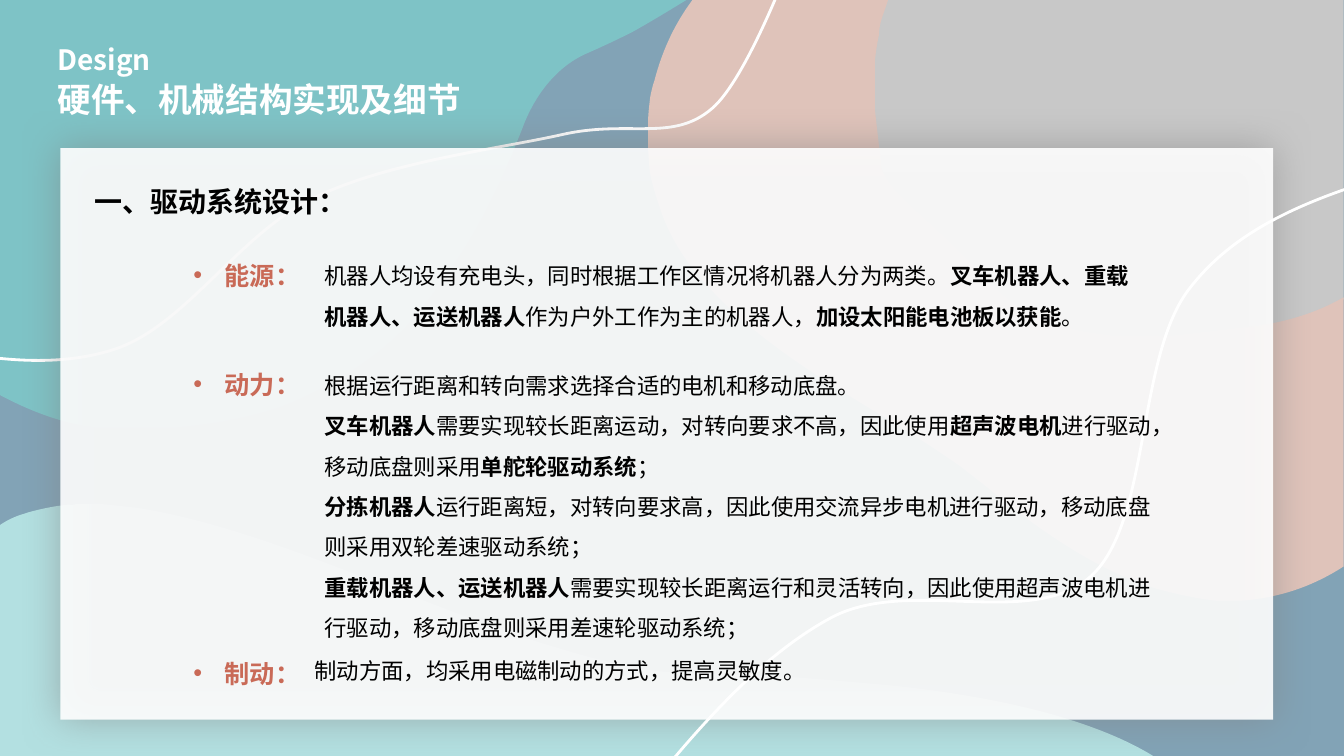
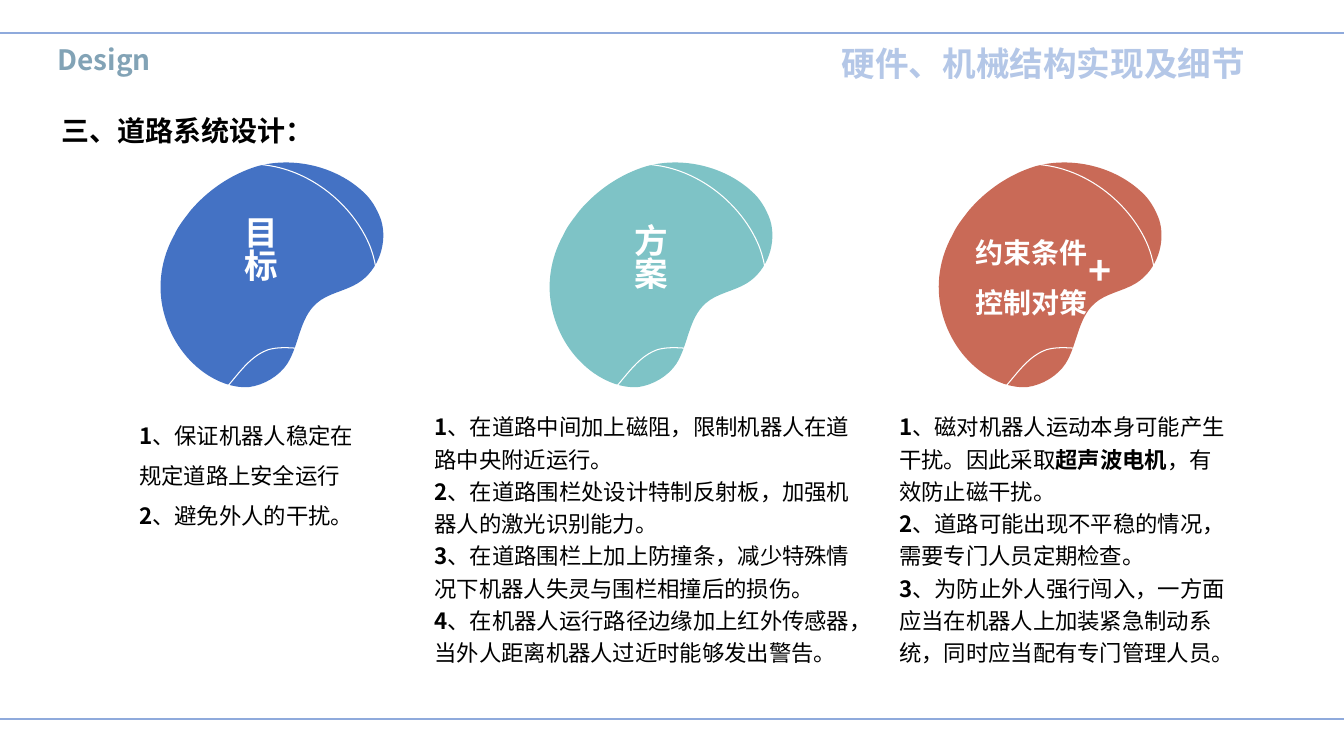
from lxml import etree
from pptx import Presentation
from pptx import util as u
from pptx.dml.color import RGBColor
from pptx.enum import shapes, text
from pptx.oxml.ns import qn

# Shared style
FONT = "Noto Sans CJK SC"
WHITE, BLACK = "FFFFFF", "000000"
SLATE, TEAL, MINT, PINK, GREY = "82A3B6", "7EC3C6", "B3E0E1", "DFC3BA", "C8C8C8"
BLUE, RUST, RULE, PALE = "4472C4", "C96A57", "8FAADC", "B4C7E7"
WIDTH, HEIGHT = 13.333, 7.5
JUSTIFY, LEFT = text.PP_ALIGN.JUSTIFY, text.PP_ALIGN.LEFT
TITLE = "硬件、机械结构实现及细节"

# Outlines: a start point, then lines (2 numbers) and curves (6 numbers)
GREY_WAVE = [
    (13.33, 0), (13.33, 2.97), (13.27, 3.01, 13.19, 3.04, 13.13, 3.07),
    (12.94, 3.16, 12.75, 3.22, 12.56, 3.25), (12.34, 3.28, 12.13, 3.31, 11.92, 3.33),
    (11.83, 3.34, 11.72, 3.35, 11.62, 3.36), (11.52, 3.37, 11.46, 3.37, 11.45, 3.37),
    (11.18, 3.37), (11, 3.35, 10.81, 3.34, 10.64, 3.3), (10.46, 3.25, 10.26, 3.18, 10.1, 3.08),
    (10.02, 3.03, 9.91, 2.95, 9.82, 2.86), (9.73, 2.77, 9.65, 2.69, 9.57, 2.6),
    (9.4, 2.43, 9.26, 2.3, 9.09, 2.14), (8.94, 2.01, 8.75, 1.84, 8.72, 1.69),
    (8.71, 1.63, 8.65, 1.14, 8.65, 1.07), (8.65, 0.64), (8.66, 0.42, 8.69, 0.21, 8.78, 0)]
PINK_WAVE = [
    (8.81, 0), (8.79, 0.07, 8.76, 0.14, 8.74, 0.21), (8.73, 0.25, 8.72, 0.3, 8.72, 0.35),
    (8.7, 0.43, 8.68, 0.59, 8.68, 0.6), (8.68, 1.09), (8.7, 1.27, 8.72, 1.44, 8.74, 1.62),
    (8.74, 1.78, 8.95, 1.97, 9.09, 2.1), (9.28, 2.27, 9.44, 2.42, 9.62, 2.6),
    (9.77, 2.77, 9.96, 2.97, 10.18, 3.09), (10.3, 3.15, 10.45, 3.22, 10.58, 3.25),
    (10.63, 3.26, 10.68, 3.28, 10.74, 3.29), (10.91, 3.32, 11.08, 3.34, 11.09, 3.34),
    (11.58, 3.34), (11.85, 3.31, 12.1, 3.28, 12.36, 3.25), (12.6, 3.22, 12.85, 3.17, 13.11, 3.06),
    (13.18, 3.03, 13.26, 2.99, 13.33, 2.95), (13.33, 5.62), (12.99, 5.84, 12.64, 5.94, 12.29, 5.96),
    (12.08, 5.96), (11.88, 5.94, 11.64, 5.89, 11.44, 5.83), (10.94, 5.67, 10.42, 5.34, 9.91, 4.93),
    (9.79, 4.83), (9.7, 4.76, 9.61, 4.69, 9.52, 4.62), (9.29, 4.46, 9.06, 4.31, 8.84, 4.18),
    (8.24, 3.81, 7.59, 3.44, 7.07, 2.89), (6.79, 2.6, 6.62, 2.31, 6.53, 2.01),
    (6.5, 1.92, 6.44, 1.73, 6.44, 1.62), (6.44, 1.61, 6.43, 1.48, 6.43, 1.47), (6.43, 1.2),
    (6.43, 1.12, 6.45, 0.98, 6.45, 0.97), (6.45, 0.97, 6.47, 0.86, 6.49, 0.81),
    (6.56, 0.54, 6.67, 0.27, 6.87, 0)]
TEAL_WAVE = [
    (6.81, 0), (6.63, 0.11, 6.45, 0.22, 6.27, 0.32), (6.11, 0.4, 5.96, 0.47, 5.8, 0.54),
    (5.46, 0.7, 5.27, 1.03, 5.18, 1.28), (5.03, 1.66, 4.85, 2.06, 4.61, 2.45),
    (4.51, 2.6, 4.41, 2.75, 4.3, 2.9), (4.26, 2.95, 4.22, 3, 4.18, 3.06),
    (3.83, 3.51, 3.26, 3.85, 2.79, 4.03), (2.44, 4.15, 2.07, 4.21, 1.71, 4.24), (0.99, 4.24),
    (0.67, 4.22, 0.32, 4.09, 0, 3.92), (0, 0)]
MINT_WAVE = [
    (0.99, 5), (1.36, 5.04), (2.24, 5.18, 3.14, 5.55, 4.02, 5.89),
    (4.47, 6.06, 4.94, 6.25, 5.4, 6.39), (5.57, 6.44, 5.79, 6.51, 5.93, 6.54),
    (6.1, 6.59, 6.47, 6.67, 6.67, 6.67), (7.87, 6.72), (8.25, 6.75), (8.82, 6.8),
    (9.74, 6.89, 10.79, 7.1, 11.44, 7.5), (0, 7.5), (0, 5.21),
    (0.07, 5.16, 0.16, 5.12, 0.23, 5.1), (0.31, 5.07, 0.57, 5.01, 0.68, 5.01),
    (0.7, 5.01, 0.74, 5.01, 0.76, 5)]
UPPER_THREAD = [
    (-1.04, 3.38), (-0.29, 3.53, 0.46, 3.69, 1.15, 3.46), (1.85, 3.22, 2.38, 2.31, 3.12, 1.96),
    (3.87, 1.6, 4.94, 1.48, 5.6, 1.33), (6.25, 1.19, 6.67, 1.41, 7.06, 1.08),
    (7.44, 0.76, 7.93, -0.61, 7.93, -0.61), (8.04, -0.93)]
LOWER_THREAD = [
    (6.18, 8.14), (6.83, 7.33, 7.49, 6.53, 8.26, 6.12), (9.04, 5.72, 10.24, 6.25, 10.83, 5.71),
    (11.42, 5.16, 11.27, 3.52, 11.81, 2.85), (12.34, 2.17, 13.2, 1.91, 14.06, 1.65)]
BLOB = [
    (3.78, 2.18), (3.85, 2.4, 3.76, 2.68, 3.55, 2.81), (3.42, 2.89, 3.25, 2.91, 3.14, 3.01),
    (2.97, 3.16, 2.97, 3.42, 2.85, 3.61), (2.77, 3.73, 2.62, 3.82, 2.47, 3.84),
    (2.31, 3.85, 2.16, 3.79, 2.03, 3.7), (1.82, 3.55, 1.68, 3.33, 1.62, 3.08),
    (1.56, 2.83, 1.6, 2.56, 1.73, 2.33), (1.77, 2.24, 1.83, 2.17, 1.89, 2.09),
    (2.06, 1.89, 2.29, 1.73, 2.55, 1.65), (2.91, 1.55, 3.33, 1.65, 3.6, 1.9),
    (3.68, 1.97, 3.74, 2.07, 3.78, 2.18)]
BLOB_LINE = [
    (3.73, 2.85), (3.71, 3.14, 3.49, 3.42, 3.2, 3.46), (3.02, 3.48, 2.83, 3.42, 2.66, 3.47),
    (2.41, 3.56, 2.3, 3.85, 2.08, 4), (1.94, 4.1, 1.74, 4.13, 1.57, 4.07),
    (1.39, 4, 1.26, 3.86, 1.16, 3.69), (1.01, 3.42, 0.95, 3.09, 1, 2.79),
    (1.06, 2.48, 1.22, 2.19, 1.46, 1.99), (1.55, 1.91, 1.65, 1.85, 1.75, 1.8),
    (2.02, 1.66, 2.34, 1.59, 2.65, 1.64), (3.09, 1.7, 3.5, 2.03, 3.67, 2.44),
    (3.72, 2.57, 3.75, 2.71, 3.73, 2.85)]


def rgb(color):
    return RGBColor.from_string(color)


def sub(parent, tag, **attrs):
    return etree.SubElement(parent, qn(tag), attrs)


def write(sp, box, paragraphs, size=16, color=BLACK, bold=False, align=LEFT,
          spacing=1.0, bullet=None, vert=None):
    """Place sp in box and fill it; text between ** marks is bold."""
    sp.left, sp.top, sp.width, sp.height = map(u.Inches, box)
    tf = sp.text_frame
    tf.word_wrap = True
    tf.auto_size = text.MSO_AUTO_SIZE.NONE
    tf.vertical_anchor = text.MSO_ANCHOR.TOP
    if vert:
        tf._txBody.bodyPr.set("vert", vert)
    for i, line in enumerate(paragraphs):
        p = tf.add_paragraph() if i else tf.paragraphs[0]
        p.alignment, p.line_spacing = align, spacing
        p.space_before = p.space_after = u.Pt(0)
        pPr = p._p.get_or_add_pPr()
        indent = u.Inches(0.31) if bullet else 0
        pPr.set("marL", str(indent))
        pPr.set("indent", str(-indent))
        if bullet:
            sub(pPr, "a:buFont", typeface="Arial")
            sub(pPr, "a:buChar", char=bullet)
        else:
            sub(pPr, "a:buNone")
        for j, part in enumerate(line.split("**")):
            if part:
                r = p.add_run()
                r.text = part
                r.font.size, r.font.name = u.Pt(size), FONT
                r.font.bold = bold or j % 2 == 1
                r.font.color.rgb = rgb(color)
                sub(r._r.get_or_add_rPr(), "a:ea", typeface=FONT)


def label(s, box, *paragraphs, **fmt):
    write(s.shapes.add_textbox(0, 0, 0, 0), box, paragraphs, **fmt)


def fill_placeholder(s, idx, box, *paragraphs, **fmt):
    """Fill a placeholder and bring it to the front."""
    sp = next(ph for ph in s.placeholders if ph.placeholder_format.idx == idx)
    s.shapes._spTree.append(sp._element)
    write(sp, box, paragraphs, **fmt)


def outline(s, steps, fill=None, line=None, width=2, dx=0):
    """Draw an outline of lines and curves, moved right by dx inches."""
    points = [[(u.Inches(x + dx), u.Inches(y)) for x, y in zip(st[::2], st[1::2])] for st in steps]
    builder = s.shapes.build_freeform(*points[0][0])
    builder.add_line_segments([pts[-1] for pts in points[1:]], close=fill is not None)
    sp = builder.convert_to_shape()
    sp.shadow.inherit = False
    for seg, pts in zip(list(sp._element.iter(qn("a:lnTo"))), points[1:]):
        if len(pts) == 3:
            curve = etree.Element(qn("a:cubicBezTo"))
            for x, y in pts:
                sub(curve, "a:pt", x=str(x - sp.left), y=str(y - sp.top))
            seg.getparent().replace(seg, curve)
    if fill:
        sp.fill.solid()
        sp.fill.fore_color.rgb = rgb(fill)
    else:
        sp.fill.background()
    if line:
        sp.line.color.rgb = rgb(line)
        sp.line.width = u.Pt(width)
    else:
        sp.line.fill.background()


def card(s, box):
    """Translucent white panel with a soft grey glow."""
    sp = s.shapes.add_shape(shapes.MSO_SHAPE.RECTANGLE, *map(u.Inches, box))
    sp.shadow.inherit = False
    sp.fill.solid()
    sp.fill.fore_color.rgb = rgb(WHITE)
    sub(next(sp._element.spPr.iter(qn("a:srgbClr"))), "a:alpha", val="90000")
    sp.line.fill.background()
    glow = sub(sp._element.spPr.find(qn("a:effectLst")), "a:outerShdw",
               blurRad=str(u.Inches(0.4)), dist="0", algn="ctr", rotWithShape="0")
    sub(sub(glow, "a:srgbClr", val="808080"), "a:alpha", val="60000")


def rule(s, y):
    c = s.shapes.add_connector(shapes.MSO_CONNECTOR.STRAIGHT, 0, u.Inches(y),
                               u.Inches(WIDTH), u.Inches(y))
    c.line.color.rgb = rgb(RULE)
    c.line.width = u.Pt(1.5)
    sub(c._element.spPr, "a:effectLst")


def header(s, title_box, title_color, tag_color, section, section_at):
    label(s, (0.47, 0.37, 2.99, 0.44), "Design", size=20, color=tag_color, bold=True, align=JUSTIFY)
    fill_placeholder(s, 0, title_box, TITLE, size=24, color=title_color, bold=True, align=JUSTIFY)
    label(s, (*section_at, 3.85, 0.44), section, size=20, bold=True, align=JUSTIFY)


def new_slide(prs):
    return prs.slides.add_slide(prs.slide_layouts[4])


def drop_empty(s):
    for ph in list(s.placeholders):
        if not ph.text_frame.text:
            ph._element.getparent().remove(ph._element)


def drive_slide(prs):
    s = new_slide(prs)
    # Wavy background and card
    s.background.fill.solid()
    s.background.fill.fore_color.rgb = rgb(SLATE)
    for wave, color in ((GREY_WAVE, GREY), (PINK_WAVE, PINK), (TEAL_WAVE, TEAL), (MINT_WAVE, MINT)):
        outline(s, wave, fill=color)
    outline(s, UPPER_THREAD, line=WHITE)
    card(s, (0.6, 1.47, 12.03, 5.67))
    outline(s, LOWER_THREAD, line=WHITE)
    header(s, (0.47, 0.73, 5.54, 0.5), WHITE, WHITE, "一、驱动系统设计：", (0.84, 1.78))
    # Topics: name, top of name, box of text, line spacing, paragraphs
    topics = [
        ("能源：", 2.38, (3.12, 2.42, 8.36, 0.91), 1.5, [
            "机器人均设有充电头，同时根据工作区情况将机器人分为两类。**叉车机器人、重载机器人、运送机器人**"
            "作为户外工作为主的机器人，**加设太阳能电池板以获能**。"]),
        ("动力：", 3.46, (3.12, 3.51, 8.55, 2.93), 1.5, [
            "根据运行距离和转向需求选择合适的电机和移动底盘。",
            "**叉车机器人**需要实现较长距离运动，对转向要求不高，因此使用**超声波电机**进行驱动，"
            "移动底盘则采用**单舵轮驱动系统**；",
            "**分拣机器人**运行距离短，对转向要求高，因此使用交流异步电机进行驱动，移动底盘则采用双轮差速驱动系统；",
            "**重载机器人、运送机器人**需要实现较长距离运行和灵活转向，因此使用超声波电机进行驱动，"
            "移动底盘则采用差速轮驱动系统；"]),
        ("制动：", 6.33, (3.02, 6.47, 5.4, 0.37), 1.0, ["制动方面，均采用电磁制动的方式，提高灵敏度。"]),
    ]
    for idx, (name, top, box, spacing, lines) in enumerate(topics, 1):
        label(s, (1.82, top, 1.12, 0.51), name, size=18, color=RUST, bold=True,
              spacing=1.5, bullet="•")
        fill_placeholder(s, idx, box, *lines, spacing=spacing)
    drop_empty(s)


def road_slide(prs):
    s = new_slide(prs)
    header(s, (8.25, 0.38, 4.69, 0.5), PALE, SLATE, "三、道路系统设计：", (0.51, 1.08))
    # Columns: colour of blob, box of list, line spacing, paragraphs
    columns = [
        (BLUE, (1.28, 4, 2.43, 1.27), 1.5, [
            "**1**、保证机器人稳定在规定道路上安全运行", "**2**、避免外人的干扰。"]),
        (TEAL, (4.21, 4, 4.36, 2.67), 1.2, [
            "**1**、在道路中间加上磁阻，限制机器人在道路中央附近运行。",
            "**2**、在道路围栏处设计特制反射板，加强机器人的激光识别能力。",
            "**3**、在道路围栏上加上防撞条，减少特殊情况下机器人失灵与围栏相撞后的损伤。",
            "**4**、在机器人运行路径边缘加上红外传感器，当外人距离机器人过近时能够发出警告。"]),
        (RUST, (8.82, 4, 3.46, 2.68), 1.2, [
            "**1**、磁对机器人运动本身可能产生干扰。因此采取**超声波电机**，有效防止磁干扰。",
            "**2**、道路可能出现不平稳的情况，需要专门人员定期检查。",
            "**3**、为防止外人强行闯入，一方面应当在机器人上加装紧急制动系统，同时应当配有专门管理人员。"]),
    ]
    for i, (color, box, spacing, lines) in enumerate(columns):
        outline(s, BLOB, fill=color, dx=3.86 * i)
        outline(s, BLOB_LINE, line=WHITE, width=0.75, dx=3.86 * i)
        fill_placeholder(s, i + 1, box, *lines, spacing=spacing)
    # Names on the blobs
    on_blob = dict(color=WHITE, bold=True)
    for name, x, y in (("目标", 2.22, 2.04), ("方案", 6.09, 2.12)):
        label(s, (x, y, 0.61, 1.22), name, size=24, align=JUSTIFY, vert="eaVert", **on_blob)
    label(s, (9.58, 2.12, 1.75, 1.06), "约束条件", "控制对策", size=20, spacing=1.5, **on_blob)
    label(s, (10.7, 2.39, 0.36, 0.57), "+", size=28, **on_blob)
    # Rules at top and bottom
    for y in (0.33, 7.13):
        rule(s, y)
    drop_empty(s)


def main():
    prs = Presentation()
    prs.slide_width, prs.slide_height = u.Inches(WIDTH), u.Inches(HEIGHT)
    drive_slide(prs)
    road_slide(prs)
    prs.save("out.pptx")


if __name__ == "__main__":
    main()
